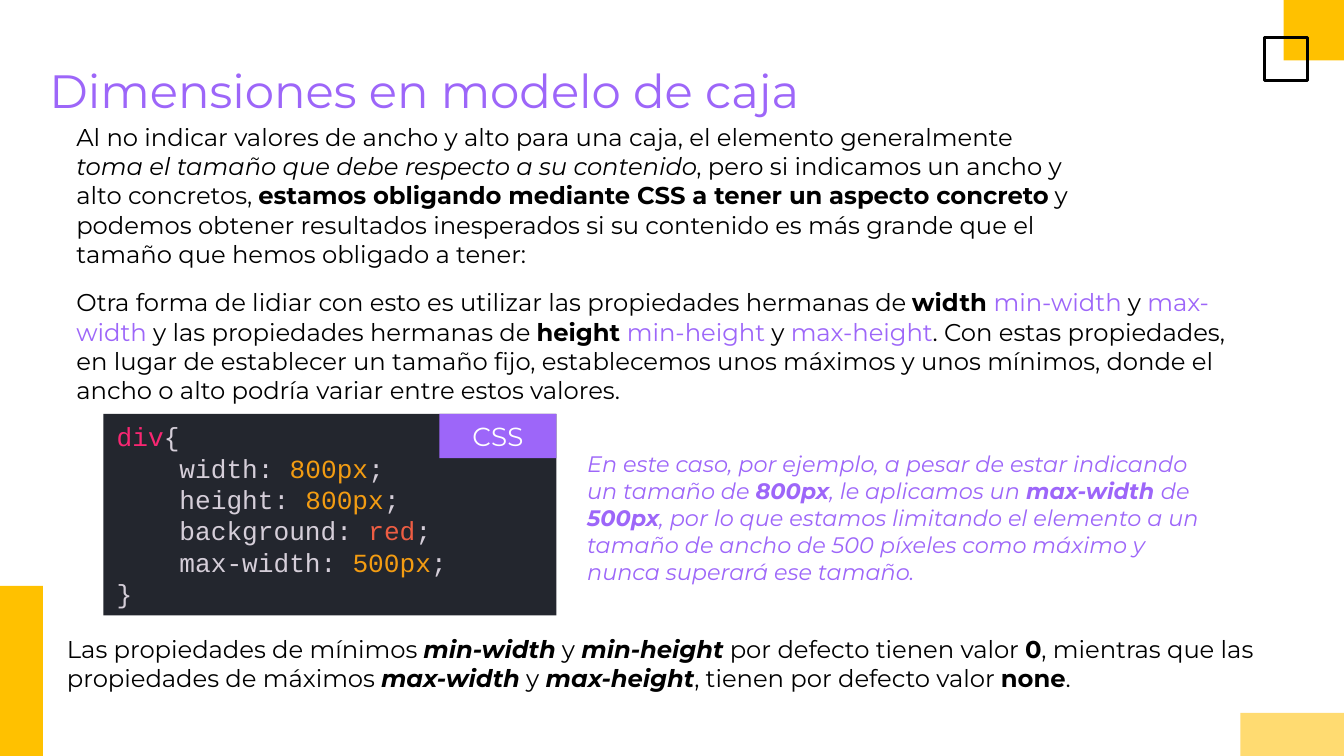
from dataclasses import dataclass

from pptx import Presentation
from pptx.dml.color import RGBColor
from pptx.enum.shapes import MSO_SHAPE
from pptx.enum.text import MSO_ANCHOR, PP_ALIGN
from pptx.util import Inches, Pt

RECTANGLE = MSO_SHAPE.RECTANGLE
TOP, MIDDLE = MSO_ANCHOR.TOP, MSO_ANCHOR.MIDDLE
LEFT, CENTER = PP_ALIGN.LEFT, PP_ALIGN.CENTER

SLIDE_WIDTH = 10
SLIDE_HEIGHT = SLIDE_WIDTH * 9 / 16

COLORS = {
    "black": "000000",
    "white": "FFFFFF",
    "purple": "9D66F9",
    "amber": "FFC100",
    "light_amber": "FFDB71",
    "editor": "23262E",
    "code": "D5CED9",
    "selector": "F92672",
    "number": "F39C12",
    "keyword": "EE5D43",
}


@dataclass(frozen=True)
class Box:
    left: float
    top: float
    width: float
    height: float


@dataclass(frozen=True)
class Span:
    text: str
    color: str | None = None
    bold: bool | None = None
    italic: bool | None = None


@dataclass(frozen=True)
class Style:
    size: float
    color: str
    font: str = "Montserrat"
    italic: bool | None = None
    indent: float = 0
    align: PP_ALIGN = LEFT
    anchor: MSO_ANCHOR = TOP
    inset: float = 0.1
    line_spacing: float | None = None


def rgb(name: str) -> RGBColor:
    return RGBColor.from_string(COLORS[name])


def bold(text: str) -> Span:
    return Span(text, bold=True)


def strong(text: str) -> Span:
    return Span(text, bold=True, italic=True)


def purple(text: str) -> Span:
    return Span(text, "purple")


def declaration(name: str, value: str, color: str = "number") -> list[Span]:
    return [Span(f"    {name}: "), Span(value, color), Span(";")]


def add_rectangle(slide, box: Box, fill: str | None = None, line: str | None = None):
    shape = slide.shapes.add_shape(
        RECTANGLE, Inches(box.left), Inches(box.top), Inches(box.width), Inches(box.height))
    shape.shadow.inherit = False
    if fill:
        shape.fill.solid()
        shape.fill.fore_color.rgb = rgb(fill)
    else:
        shape.fill.background()
    if line:
        shape.line.color.rgb = rgb(line)
        shape.line.width = Pt(1.5)
    else:
        shape.line.fill.background()
    return shape


def write_text(shape, lines: list[list[Span]], style: Style) -> None:
    frame = shape.text_frame
    frame.word_wrap = True
    frame.vertical_anchor = style.anchor
    frame.margin_left = frame.margin_right = Inches(0.1)
    frame.margin_top = frame.margin_bottom = Inches(style.inset)
    for index, spans in enumerate(lines):
        paragraph = frame.add_paragraph() if index else frame.paragraphs[0]
        paragraph.alignment = style.align
        if style.indent:
            paragraph._p.get_or_add_pPr().set("marL", str(Inches(style.indent)))
        if style.line_spacing:
            paragraph.line_spacing = Pt(style.line_spacing)
        paragraph.font.name = style.font
        paragraph.font.size = Pt(style.size)
        paragraph.font.italic = style.italic
        paragraph.font.color.rgb = rgb(style.color)
        for span in spans:
            run = paragraph.add_run()
            run.text = span.text
            run.font.bold = span.bold
            run.font.italic = span.italic
            if span.color:
                run.font.color.rgb = rgb(span.color)


def add_text(slide, box: Box, spans: list[Span], style: Style) -> None:
    shape = slide.shapes.add_textbox(
        Inches(box.left), Inches(box.top), Inches(box.width), Inches(box.height))
    write_text(shape, [spans], style)


TITLE = Style(25, "purple")
BODY = Style(13, "black", indent=0.13)
REMARK = Style(12, "purple", italic=True, indent=0.13)
TAG = Style(14, "white", align=CENTER, anchor=MIDDLE)
CODE = Style(14, "code", font="Courier New", inset=0.05, line_spacing=16.8)

INTRODUCTION = [
    Span("Al no indicar valores de ancho y alto para una caja, el elemento generalmente "),
    Span("toma el tamaño que debe respecto a su contenido", italic=True),
    Span(", pero si indicamos un ancho y alto concretos, "),
    bold("estamos obligando mediante CSS a tener un aspecto concreto"),
    Span(" y podemos obtener resultados inesperados si su contenido es más grande "
         "que el tamaño que hemos obligado a tener:"),
]
ALTERNATIVE = [
    Span("Otra forma de lidiar con esto es utilizar las propiedades hermanas de "),
    bold("width "), purple("min-width"), Span(" y "), purple("max-width"),
    Span(" y las propiedades hermanas de "),
    bold("height "), purple("min-height"), Span(" y "), purple("max-height"),
    Span(". Con estas propiedades, en lugar de establecer un tamaño fijo, establecemos "
         "unos máximos y unos mínimos, donde el ancho o alto podría variar entre estos valores."),
]
EXAMPLE = [
    Span("En este caso, por ejemplo, a pesar de estar indicando un tamaño de "),
    bold("800px"), Span(", le aplicamos un "), bold("max-width "), Span("de "), bold("500px"),
    Span(", por lo que estamos limitando el elemento a un tamaño de ancho de 500 píxeles "
         "como máximo y nunca superará ese tamaño."),
]
DEFAULTS = [
    Span("Las propiedades de mínimos "),
    strong("min-width"), Span(" y "), strong("min-height"),
    Span(" por defecto tienen valor "), bold("0"),
    Span(", mientras que las propiedades de máximos "),
    strong("max-width"), Span(" y "), strong("max-height"),
    Span(", tienen por defecto valor "), bold("none"), Span("."),
]
CODE_LINES = [
    [Span("div", "selector"), Span("{")],
    declaration("width", "800px"),
    declaration("height", "800px"),
    declaration("background", "red", "keyword"),
    declaration("max-width", "500px"),
    [Span("}")],
]


def main() -> None:
    presentation = Presentation()
    presentation.slide_width = Inches(SLIDE_WIDTH)
    presentation.slide_height = Inches(SLIDE_HEIGHT)
    slide = presentation.slides.add_slide(presentation.slide_layouts[6])

    # Corner decoration
    add_rectangle(slide, Box(9.55, 0, 0.45, 0.45), "amber")
    add_rectangle(slide, Box(0, 4.36, 0.32, SLIDE_HEIGHT - 4.36), "amber")
    add_rectangle(slide, Box(9.41, 0.28, 0.32, 0.32), line="black")
    add_rectangle(slide, Box(9.23, SLIDE_HEIGHT - 0.32, 0.77, 0.32), "light_amber")

    # Title and explanation
    add_text(slide, Box(0.34, 0.81, 7.74, 1.38), INTRODUCTION, BODY)
    add_text(slide, Box(0.27, 0.36, 9.47, 0.63), [Span("Dimensiones en modelo de caja")], TITLE)
    add_text(slide, Box(0.34, 2.04, 9.08, 1.21), ALTERNATIVE, BODY)

    # Code sample with its language tag
    write_text(add_rectangle(slide, Box(0.77, 3.08, 3.37, 1.5), "editor"), CODE_LINES, CODE)
    write_text(add_rectangle(slide, Box(3.27, 3.08, 0.87, 0.33), "purple"), [[Span("CSS")]], TAG)

    # Remarks on the sample and default values
    add_text(slide, Box(4.14, 3.25, 4.98, 1.14), EXAMPLE, REMARK)
    add_text(slide, Box(0.27, 4.62, 9.39, 0.62), DEFAULTS, BODY)

    presentation.save("out.pptx")


if __name__ == "__main__":
    main()
